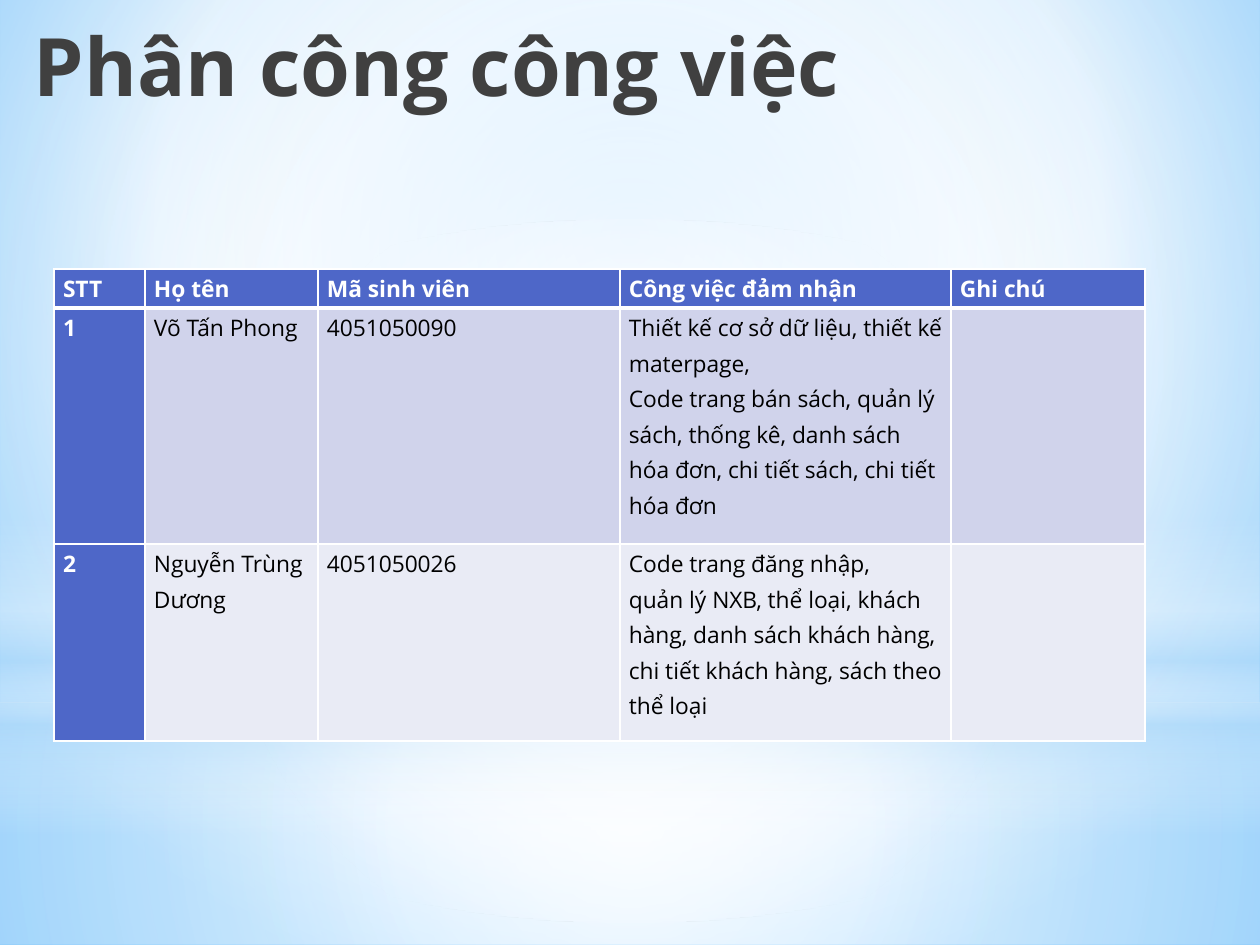
from lxml import etree
from pptx import Presentation
from pptx import util as u
from pptx.dml.color import RGBColor
from pptx.enum import shapes, text
from pptx.oxml import parse_xml
from pptx.oxml.ns import nsdecls, qn

PX = 914400 // 126
COLORS = {
    "white": "FFFFFF", "black": "000000", "title": "404040",
    "header": "4E67C8", "odd": "D0D3EB", "even": "E9EBF5",
    "haze": "B4DCFA", "sky": "9ED5FF", "deep": "5BB9FF",
}
CENTER = (50, 50, 50, 50)
FONT = "Open Sans"


def paint_gradient(element, stops, focus):
    marks = "".join(
        f'<a:gs pos="{pos * 1000}"><a:srgbClr val="{COLORS[color]}">'
        f'<a:alpha val="{alpha * 1000}"/></a:srgbClr></a:gs>'
        for pos, color, alpha in stops)
    direction = '<a:lin ang="5400000" scaled="0"/>'
    if focus:
        sides = " ".join(f'{side}="{value * 1000}"' for side, value in zip("ltrb", focus))
        direction = f'<a:path path="circle"><a:fillToRect {sides}/></a:path>'
    gradient = parse_xml(
        f'<a:gradFill {nsdecls("a")} rotWithShape="1"><a:gsLst>{marks}</a:gsLst>'
        f'{direction}</a:gradFill>')
    solid = element.xpath(".//a:solidFill")[0]
    solid.getparent().replace(solid, gradient)


def style_run(run, size, color, bold):
    for name, value in {"name": FONT, "size": u.Pt(size), "bold": bold}.items():
        setattr(run.font, name, value)
    run.font.color.rgb = RGBColor.from_string(COLORS[color])


deck = Presentation()
deck.slide_width, deck.slide_height = u.Inches(10), u.Inches(7.5)
slide = deck.slides.add_slide(deck.slide_layouts[6])

slide.background.fill.solid()
slide.background.fill.fore_color.rgb = RGBColor.from_string(COLORS["sky"])
paint_gradient(slide.element.xpath(".//p:bgPr")[0],
               [(0, "sky", 100), (60, "white", 100), (100, "deep", 100)], (20, 10, 20, 60))

RECT, OVAL = shapes.MSO_SHAPE.RECTANGLE, shapes.MSO_SHAPE.OVAL
glows = [
    (RECT, 703, 242, [(0, "white", 91), (37, "white", 76), (100, "haze", 79)], CENTER),
    (RECT, 0, 703, [(0, "white", 89), (48, "white", 62), (100, "haze", 79)], CENTER),
    (RECT, 519, 315, [(0, "white", 0), (29, "white", 30), (45, "haze", 40),
                      (55, "white", 26), (65, "haze", 60), (100, "white", 0)], None),
    (OVAL, 220, 703, [(0, "white", 100), (56, "white", 0)], CENTER),
]
for preset, top, height, stops, focus in glows:
    glow = slide.shapes.add_shape(preset, 0, top * PX, 1260 * PX, height * PX)
    glow.shadow.inherit = False
    glow.line.fill.background()
    glow.fill.solid()
    glow.fill.fore_color.rgb = RGBColor.from_string(COLORS["white"])
    paint_gradient(glow.element.spPr, stops, focus)

title = slide.shapes.add_textbox(25 * PX, 16 * PX, 1012 * PX, 158 * PX).text_frame
title_format = {"word_wrap": True, "vertical_anchor": text.MSO_ANCHOR.TOP,
                "margin_left": 9 * PX, "margin_top": 0}
for name, value in title_format.items():
    setattr(title, name, value)
title_run = title.paragraphs[0].add_run()
title_run.text = "Phân công công việc"
style_run(title_run, 46, "title", True)

assignments = [
    ["STT", "Họ tên", "Mã sinh viên", "Công việc đảm nhận", "Ghi chú"],
    ["1", "Võ Tấn Phong", "4051050090",
     "Thiết kế cơ sở dữ liệu, thiết kế materpage,\n"
     "Code trang bán sách, quản lý sách, thống kê, danh sách hóa đơn, "
     "chi tiết sách, chi tiết hóa đơn", ""],
    ["2", "Nguyễn Trùng Dương", "4051050026",
     "Code trang đăng nhập,\n"
     "quản lý NXB, thể loại, khách hàng, danh sách khách hàng, "
     "chi tiết khách hàng, sách theo thể loại", ""],
]
column_widths = [91, 173, 302, 331, 194]
row_heights = [39, 236, 197]
table = slide.shapes.add_table(
    len(row_heights), len(column_widths), 54 * PX, 269 * PX,
    sum(column_widths) * PX, sum(row_heights) * PX).table
for column, width in zip(table.columns, column_widths):
    column.width = width * PX
for row, height in zip(table.rows, row_heights):
    row.height = height * PX

cell_format = {"margin_left": 9 * PX, "margin_right": 9 * PX, "margin_top": 0,
               "margin_bottom": 0, "vertical_anchor": text.MSO_ANCHOR.TOP}
for r, entries in enumerate(assignments):
    for c, entry in enumerate(entries):
        cell = table.cell(r, c)
        heading = r == 0 or c == 0
        for name, value in cell_format.items():
            setattr(cell, name, value)
        cell.text = entry
        for paragraph in cell.text_frame.paragraphs:
            paragraph.line_spacing = 1.15
            paragraph.font.size = u.Pt(13)
            for run in paragraph.runs:
                style_run(run, 13, "white" if heading else "black", heading)
        borders = cell._tc.get_or_add_tcPr()
        for side in "LRTB":
            thick = (r, side) in [(0, "B"), (1, "T")]
            border = etree.SubElement(borders, qn(f"a:ln{side}"), w=str(u.Pt(3 if thick else 1)))
            paint = etree.SubElement(border, qn("a:solidFill"))
            etree.SubElement(paint, qn("a:srgbClr"), val=COLORS["white"])
        cell.fill.solid()
        cell.fill.fore_color.rgb = RGBColor.from_string(
            COLORS["header" if heading else "odd" if r % 2 else "even"])

deck.save("out.pptx")
